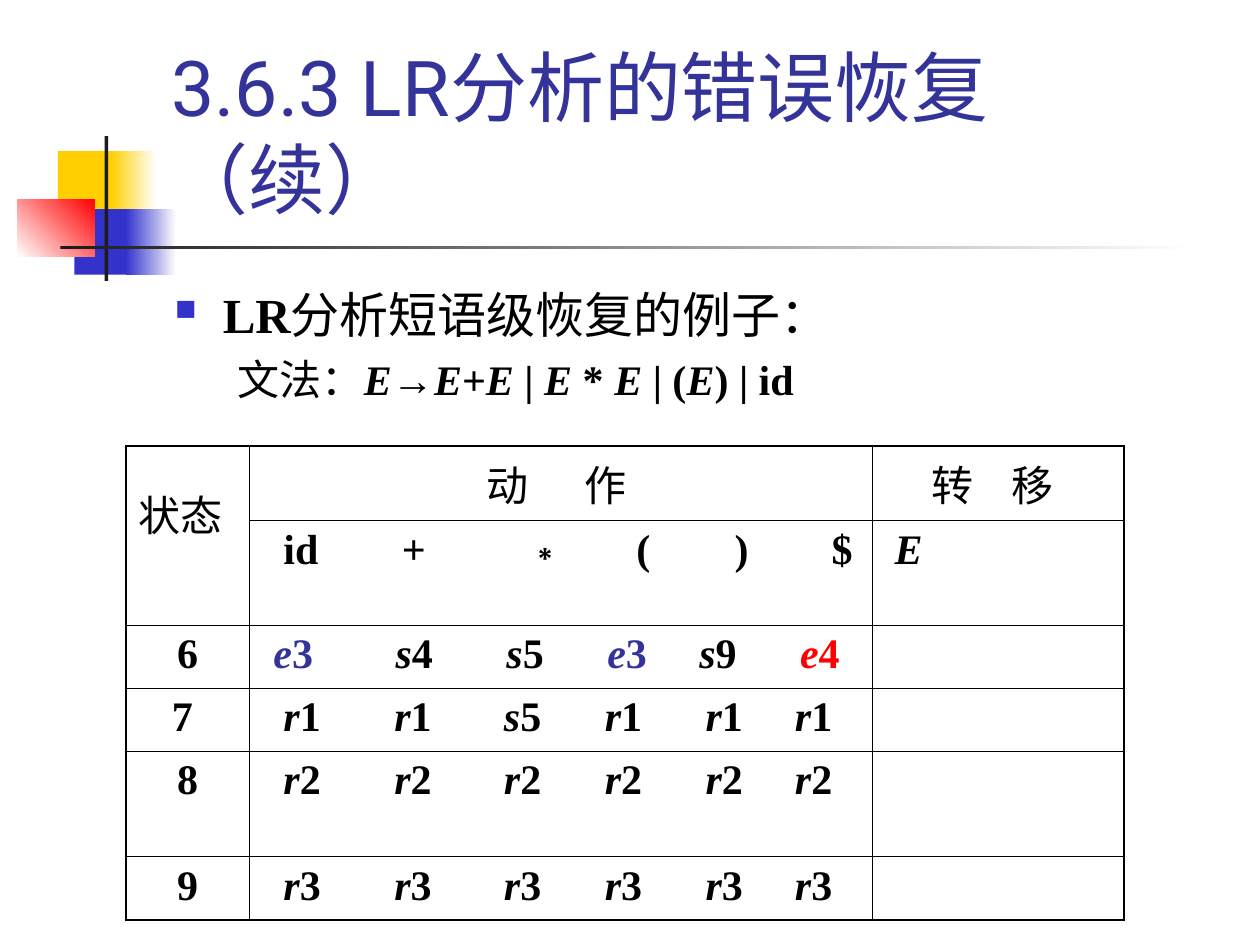
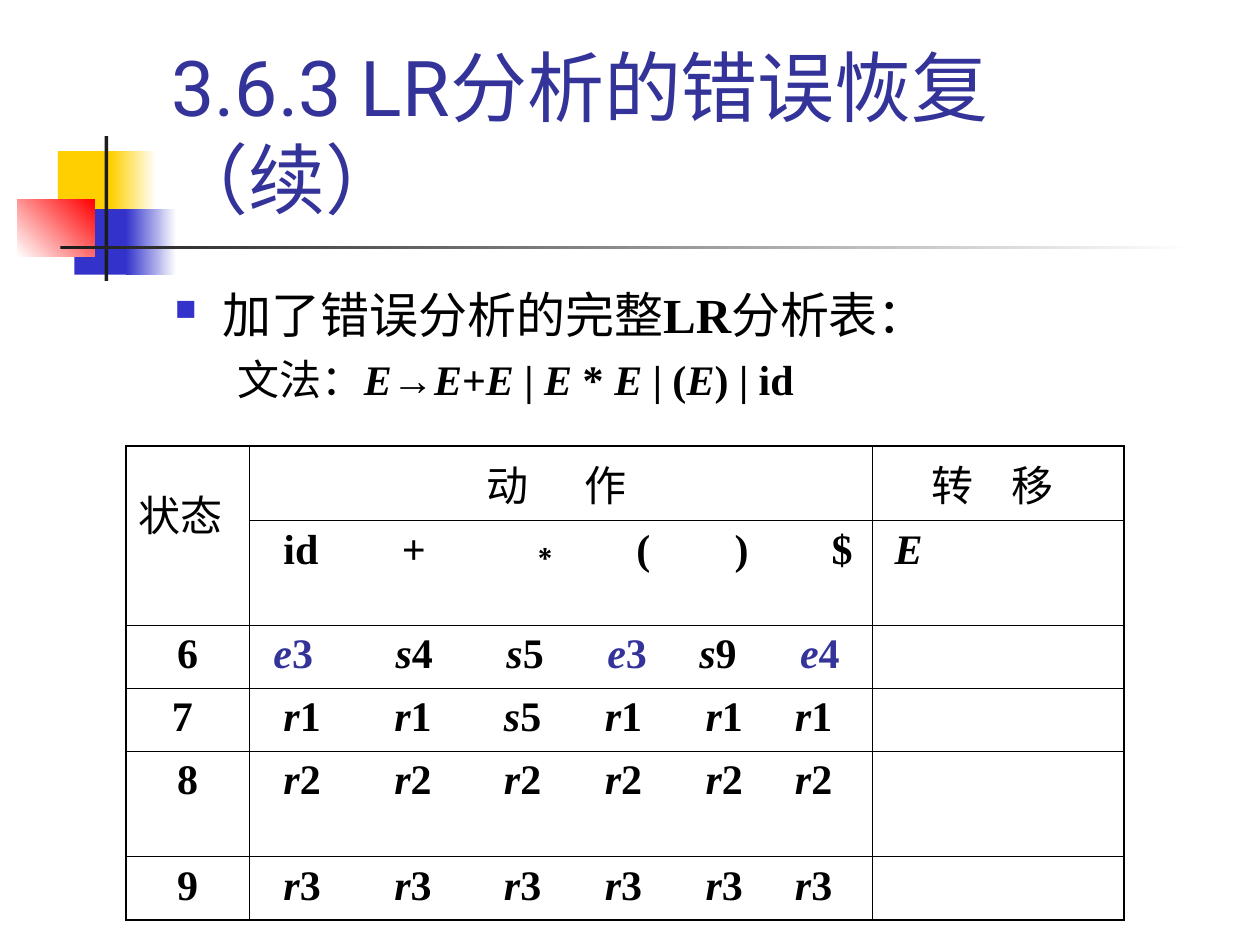
from itertools import groupby

from lxml import etree
from pptx import Presentation
from pptx.dml.color import RGBColor
from pptx.enum import shapes, text
from pptx.oxml import ns
from pptx.util import Inches, Pt

BLACK = RGBColor(0x00, 0x00, 0x00)
WHITE = RGBColor(0xFF, 0xFF, 0xFF)
YELLOW = RGBColor(0xFF, 0xCF, 0x01)
BLUE = RGBColor(0x33, 0x33, 0xCC)
RED = RGBColor(0xFF, 0x00, 0x00)
CHARCOAL = RGBColor(0x1C, 0x1C, 0x1C)
INDIGO = RGBColor(0x33, 0x33, 0x99)
SANS, SERIF, SYMBOL, CJK = "Roboto", "Times New Roman", "Arial", "Noto Sans CJK SC"

TITLE = "3.6.3 LR分析的错误恢复（续）"
GRAMMAR = "E→E+E | E * E | (E) | id"

# left, top, width, height, start colour, end colour, angle
BANDS = [
    (0.46, 1.2, 0.48, 0.52, YELLOW, None, 0),
    (0.88, 1.2, 0.36, 0.52, YELLOW, WHITE, 0),
    (0.59, 1.66, 0.46, 0.52, BLUE, None, 0),
    (1, 1.66, 0.4, 0.52, BLUE, WHITE, 0),
    (0.14, 1.58, 0.61, 0.46, WHITE, RED, 45),
    (0.83, 1.08, 0.03, 1.15, CHARCOAL, None, 0),
    (0.48, 1.95, 9, 0.03, CHARCOAL, WHITE, 0),
]

COL_WIDTHS = [0.98, 4.94, 2]
ROW_HEIGHTS = [0.59, 0.83, 0.47, 0.47, 0.84, 0.47]
SYMBOL_STOPS = [0.17, 1.11, 2.08, 2.97, 3.75, 4.52]
SHIFT_STOPS = [0.09, 1.06, 1.94, 2.74, 3.47, 4.27]
REDUCE_STOPS = [0.17, 1.05, 1.92, 2.72, 3.52, 4.23]
STATES = [
    ("6", "e3 s4 s5 e3 s9 e4", SHIFT_STOPS),
    ("7 ", "r1 r1 s5 r1 r1 r1", REDUCE_STOPS),
    ("8", "r2 r2 r2 r2 r2 r2", REDUCE_STOPS),
    ("9", "r3 r3 r3 r3 r3 r3", REDUCE_STOPS),
]

# Heading parts with their bold flag, and the colour of action e4
SLIDES = [
    ([("LR", True), ("分析短语级恢复的例子：", False)], RED),
    ([("加了错误分析的完整", False), ("LR", True), ("分析表：", False)], INDIGO),
]


def add_text(p, words, size=24, font=SERIF, east=CJK, color=BLACK, bold=False, italic=False):
    r = p.add_run()
    r.text = words
    r.font.size, r.font.name = Pt(size), font
    r.font.bold, r.font.italic = bold, italic
    r.font.color.rgb = color
    ea = etree.SubElement(r._r.get_or_add_rPr(), ns.qn("a:ea"))
    ea.set("typeface", east)


def start_columns(cell, stops):
    """Start the cell's text at the first stop, set tabs at the rest, return the paragraph."""
    cell.margin_left = Inches(0.1 + stops[0])
    p = cell.text_frame.paragraphs[0]
    tabs = etree.SubElement(p._p.get_or_add_pPr(), ns.qn("a:tabLst"))
    for stop in stops[1:]:
        etree.SubElement(tabs, ns.qn("a:tab"), pos=str(Inches(stop - stops[0])), algn="l")
    return p


prs = Presentation()
prs.slide_width, prs.slide_height = Inches(10), Inches(7.5)
layout = prs.slide_layouts[5]

for number, (heading, e4_color) in enumerate(SLIDES):
    s = prs.slides.add_slide(layout)

    # The bands are drawn once and kept on the layout
    if number == 0:
        for i, (left, top, width, height, start, end, angle) in enumerate(BANDS):
            sp = s.shapes.add_shape(shapes.MSO_SHAPE.RECTANGLE, Inches(left), Inches(top),
                                    Inches(width), Inches(height))
            sp.shadow.inherit = False
            sp.line.fill.background()
            if end is None:
                sp.fill.solid()
                sp.fill.fore_color.rgb = start
            else:
                sp.fill.gradient()
                sp.fill.gradient_angle = angle
                for stop, color in zip(sp.fill.gradient_stops, (start, end)):
                    stop.color.rgb = color
            layout.shapes.element.insert(2 + i, sp.element)

    # Title
    title = s.shapes.title
    title.left, title.top = Inches(1.26), Inches(0.23)
    title.width, title.height = Inches(8.52), Inches(1.6)
    tf = title.text_frame
    tf.word_wrap, tf.auto_size = True, text.MSO_AUTO_SIZE.NONE
    tf.vertical_anchor = text.MSO_ANCHOR.BOTTOM
    p = tf.paragraphs[0]
    p.alignment = text.PP_ALIGN.LEFT
    add_text(p, TITLE, size=44, font=SANS, east=SANS, color=INDIGO)

    # Heading and grammar
    tf = s.shapes.add_textbox(Inches(1.29), Inches(2.21), Inches(8.29), Inches(4.5)).text_frame
    tf.word_wrap = True
    p = tf.paragraphs[0]
    pPr = p._p.get_or_add_pPr()
    pPr.set("marL", str(Inches(0.38)))
    pPr.set("indent", str(Inches(-0.38)))
    bullet_color = etree.SubElement(pPr, ns.qn("a:buClr"))
    etree.SubElement(bullet_color, ns.qn("a:srgbClr"), val=str(BLUE))
    etree.SubElement(pPr, ns.qn("a:buSzPct"), val="60000")
    etree.SubElement(pPr, ns.qn("a:buChar"), char="■")
    for words, bold in heading:
        add_text(p, words, size=28, east=SANS, bold=bold)

    p = tf.add_paragraph()
    p.level = 1
    p.space_before = Pt(6)
    pPr = p._p.get_or_add_pPr()
    pPr.set("marL", str(Inches(0.81)))
    pPr.set("indent", str(Inches(-0.31)))
    add_text(p, "文法：", east=SANS)
    for kind, chars in groupby(GRAMMAR, key=lambda ch: ch if ch in "E→" else ""):
        add_text(p, "".join(chars), font=SYMBOL if kind == "→" else SERIF, east=SANS,
                 bold=True, italic=kind == "E")

    # Parsing table
    n_rows, n_cols = len(ROW_HEIGHTS), len(COL_WIDTHS)
    table = s.shapes.add_table(n_rows, n_cols, Inches(1), Inches(3.54), Inches(7.92),
                               Inches(sum(ROW_HEIGHTS))).table
    table.first_row = table.horz_banding = False
    for column, width in zip(table.columns, COL_WIDTHS):
        column.width = Inches(width)
    for row, height in zip(table.rows, ROW_HEIGHTS):
        row.height = Inches(height)
    for i in range(n_rows):
        for j in range(n_cols):
            cell = table.cell(i, j)
            outer = {"L": j == 0, "R": j == n_cols - 1, "T": i == 0, "B": i == n_rows - 1}
            for side, is_outer in outer.items():
                ln = etree.SubElement(cell._tc.get_or_add_tcPr(), ns.qn("a:ln" + side),
                                      w=str(Pt(1.08 if is_outer else 0.45)))
                fill = etree.SubElement(ln, ns.qn("a:solidFill"))
                etree.SubElement(fill, ns.qn("a:srgbClr"), val=str(BLACK))
            cell.fill.background()

    table.cell(0, 0).merge(table.cell(1, 0))
    p = table.cell(0, 0).text_frame.paragraphs[0]
    p.line_spacing = 1.5
    add_text(p, "状态")
    add_text(start_columns(table.cell(0, 1), [1.78, 2.56]), "动\t作", font=CJK)
    add_text(start_columns(table.cell(0, 2), [0.37, 1.01]), "转\t移", font=CJK)

    p = start_columns(table.cell(1, 1), SYMBOL_STOPS)
    add_text(p, "id\t+\t", bold=True)
    add_text(p, "∗", font=SYMBOL, bold=True)
    add_text(p, "\t(\t)\t$", bold=True)
    add_text(start_columns(table.cell(1, 2), [0.08]), "E", bold=True, italic=True)

    action_colors = {"e3": INDIGO, "e4": e4_color}
    for i, (state, actions, stops) in enumerate(STATES, start=2):
        p = table.cell(i, 0).text_frame.paragraphs[0]
        p.alignment = text.PP_ALIGN.CENTER
        add_text(p, state, bold=True)
        p = start_columns(table.cell(i, 1), stops)
        for k, action in enumerate(actions.split()):
            color = action_colors.get(action, BLACK)
            add_text(p, ("\t" if k else "") + action[0], color=color, bold=True, italic=True)
            add_text(p, action[1], color=color, bold=True)

prs.save("out.pptx")
